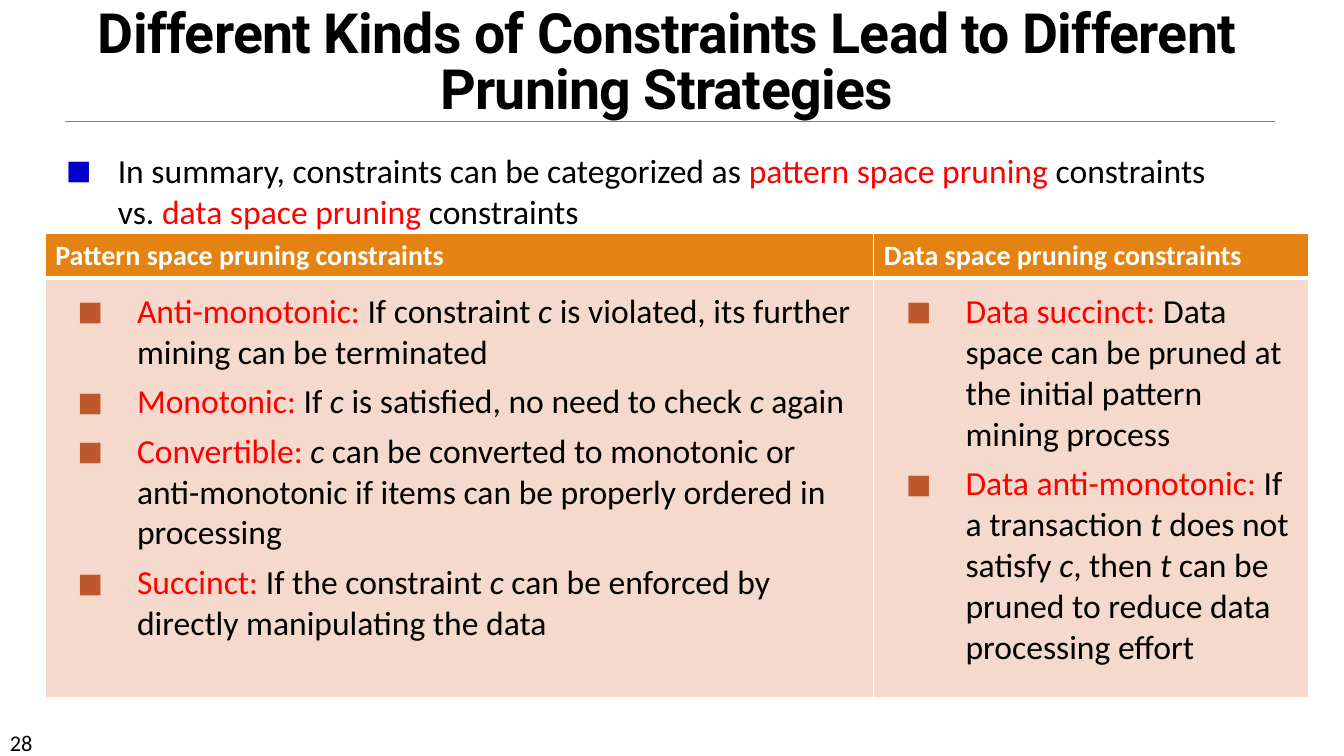
from lxml import etree
from pptx import Presentation
from pptx.dml.color import RGBColor
from pptx.enum.shapes import MSO_CONNECTOR
from pptx.enum.text import MSO_ANCHOR, PP_ALIGN
from pptx.oxml.ns import qn
from pptx.util import Cm, Pt

BOTTOM, TOP = MSO_ANCHOR.BOTTOM, MSO_ANCHOR.TOP
CENTER, LEFT = PP_ALIGN.CENTER, PP_ALIGN.LEFT
STRAIGHT = MSO_CONNECTOR.STRAIGHT

# Text: a paragraph is a list of (kind, words)
TITLE = "Different Kinds of Constraints Lead to Different Pruning Strategies"
NUMBER = "28"
SUMMARY = [
    ("text", "In summary, constraints can be categorized as "),
    ("key", "pattern space pruning "), ("text", "constraints vs. "),
    ("key", "data space pruning "), ("text", "constraints"),
]
HEADS = ["Pattern space pruning constraints", "Data space pruning constraints"]
PATTERN = [
    [("key", "Anti-monotonic:"), ("text", " If constraint "), ("var", "c"),
     ("text", " is violated, its further mining can be terminated")],
    [("key", "Monotonic:"), ("text", " If "), ("var", "c"),
     ("text", " is satisfied, no need to check "), ("var", "c"),
     ("text", " again")],
    [("key", "Convertible: "), ("var", "c"),
     ("text", " can be converted to monotonic or anti-monotonic if items "
              "can be properly ordered in processing")],
    [("key", "Succinct:"), ("text", " If the constraint "), ("var", "c"),
     ("text", " can be enforced by directly manipulating the data")],
]
DATA = [
    [("key", "Data succinct: "),
     ("text", "Data space can be pruned at the initial pattern mining process")],
    [("key", "Data anti-monotonic: "), ("text", "If a transaction "),
     ("var", "t"), ("text", " does not satisfy "), ("var", "c"),
     ("text", ", then "), ("var", "t"),
     ("text", " can be pruned to reduce data processing effort")],
]

# Looks
BASE = {"name": "Calibri", "size": Pt(24), "bold": False, "italic": False,
        "color": "000000"}
KINDS = {
    "text": BASE,
    "key": BASE | {"color": "FF0000"},
    "var": BASE | {"italic": True},
    "head": BASE | {"size": Pt(20), "bold": True, "color": "FFFFFF"},
    "number": BASE | {"size": Pt(16)},
    "title": BASE | {"name": "Roboto", "size": Pt(39.6), "bold": True},
}
BLUE, RUST, WHITE, GREY = "0000CC", "BD582C", "FFFFFF", "808080"
FILLS = ["E48312", "F5D9CC"]

# Places, in cm
SIZE = (33.87, 19.05)
RULE = (1.65, 3.05, 32.13, 3.05)
TITLE_BOX = (1.42, 0, 30.76, 3.18)
BODY_BOX = (1.42, 3.66, 30.18, 2)
NUMBER_BOX = (0, 18.24, 2.97, 0.76)
TABLE_AT = (1.14, 5.89)
COLS, ROWS = (20.88, 10.97), (1.12, 10.57)


def rgb(code):
    return RGBColor.from_string(code)


def add(parent, tag, **attrs):
    return etree.SubElement(parent, qn(tag), attrs)


def write(frame, paras, bullet=None, indent=0, hang=0):
    """Fill a text frame; bullet is the colour of a square mark."""
    for i, parts in enumerate(paras):
        para = frame.paragraphs[0] if i == 0 else frame.add_paragraph()
        para.alignment = LEFT
        if i:
            para.space_before = Pt(6)
        if bullet:
            props = para._p.get_or_add_pPr()
            props.set("marL", str(Cm(indent)))
            props.set("indent", str(-Cm(hang)))
            add(add(props, "a:buClr"), "a:srgbClr", val=bullet)
            add(props, "a:buSzPct", val="80000")
            add(props, "a:buFont", typeface="Calibri")
            add(props, "a:buChar", char="■")
        for kind, words in parts:
            run = para.add_run()
            run.text = words
            for key, value in KINDS[kind].items():
                if key == "color":
                    run.font.color.rgb = rgb(value)
                else:
                    setattr(run.font, key, value)


def box(slide, place, paras, anchor=TOP, **marks):
    frame = slide.shapes.add_textbox(*map(Cm, place)).text_frame
    frame.word_wrap = True
    frame.vertical_anchor = anchor
    write(frame, paras, **marks)
    return frame.paragraphs[0]


def border(cell, widths):
    """Draw white sides; widths maps L, R, T, B to points."""
    props = cell._tc.get_or_add_tcPr()
    for side, width in widths.items():
        line = add(props, "a:ln" + side, w=str(Pt(width)))
        add(add(line, "a:solidFill"), "a:srgbClr", val=WHITE)


def grid(slide):
    shape = slide.shapes.add_table(2, 2, *map(Cm, TABLE_AT),
                                   Cm(sum(COLS)), Cm(sum(ROWS)))
    table = shape.table
    table.horz_banding = False
    for col, width in zip(table.columns, COLS):
        col.width = Cm(width)
    for row, height in zip(table.rows, ROWS):
        row.height = Cm(height)
    for c, (head, body) in enumerate(zip(HEADS, [PATTERN, DATA])):
        top, low = table.cell(0, c), table.cell(1, c)
        border(top, {"L": 1, "R": 1, "T": 1, "B": 3})
        border(low, {"L": 1, "R": 1, "T": 3, "B": 1})
        for cell, fill in zip((top, low), FILLS):
            cell.fill.solid()
            cell.fill.fore_color.rgb = rgb(fill)
        low.margin_top = Cm(0.33)
        write(top.text_frame, [[("head", head)]])
        write(low.text_frame, body, bullet=RUST, indent=2.06, hang=1.5)


def main():
    deck = Presentation()
    deck.slide_width, deck.slide_height = map(Cm, SIZE)
    slide = deck.slides.add_slide(deck.slide_layouts[6])

    rule = slide.shapes.add_connector(STRAIGHT, *map(Cm, RULE))
    rule.line.color.rgb = rgb(GREY)
    rule.line.width = Pt(0.5)
    add(rule._element.spPr, "a:effectLst")

    box(slide, NUMBER_BOX, [[("number", NUMBER)]])
    title = box(slide, TITLE_BOX, [[("title", TITLE)]], BOTTOM)
    title.alignment = CENTER
    title.line_spacing = 0.85
    title.runs[0]._r.get_or_add_rPr().set("spc", "-50")
    box(slide, BODY_BOX, [SUMMARY], bullet=BLUE, indent=1.3, hang=1.3)
    grid(slide)
    deck.save("out.pptx")


if __name__ == "__main__":
    main()
